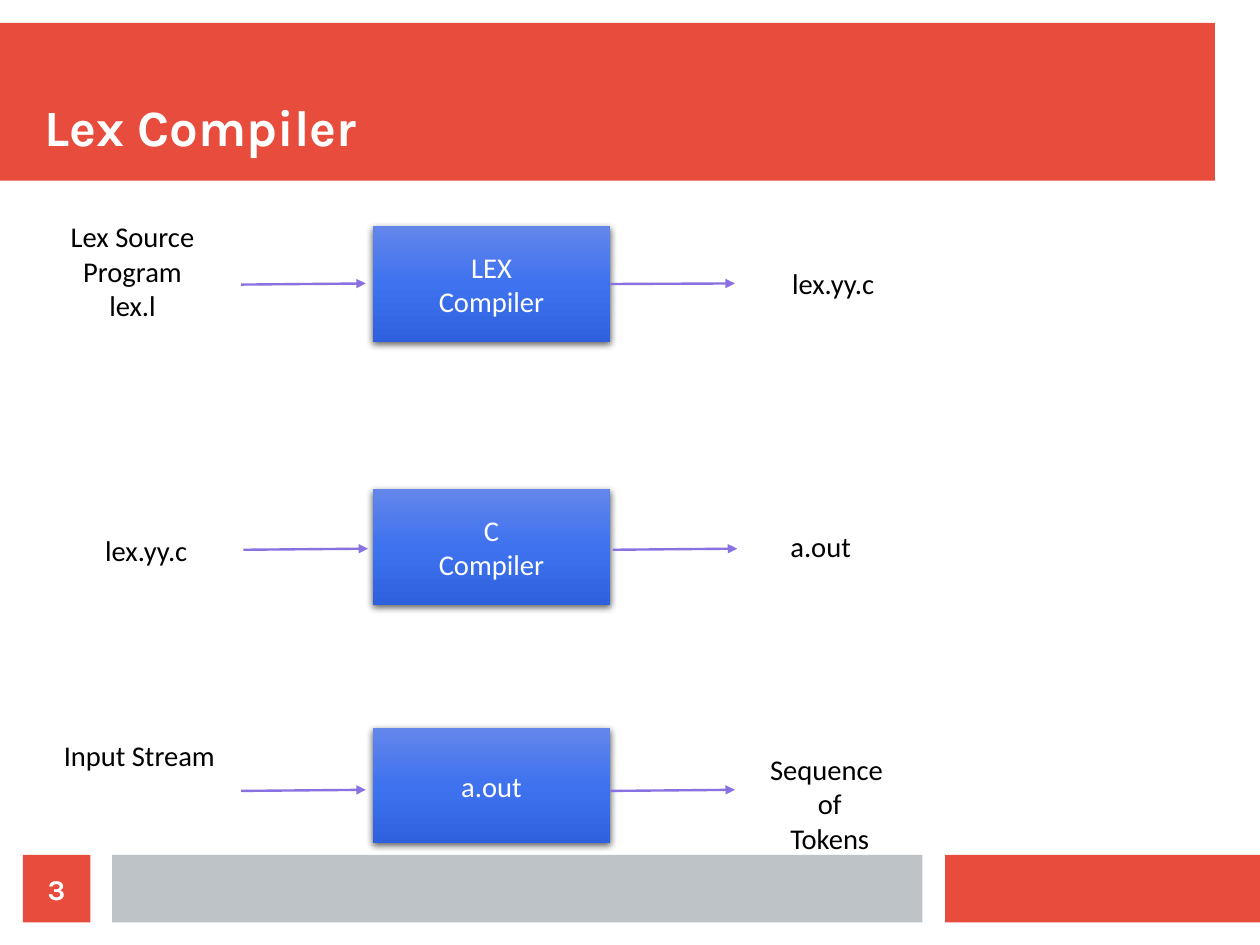
"""Build the Lex Compiler slide: three source-to-output compilation steps."""
import copy

import lxml.etree
import pptx
import pptx.dml.color
import pptx.enum.shapes
import pptx.enum.text
import pptx.oxml
import pptx.oxml.ns
import pptx.util

Inches = pptx.util.Inches
RGBColor = pptx.dml.color.RGBColor
PP_ALIGN = pptx.enum.text.PP_ALIGN
MSO_ANCHOR = pptx.enum.text.MSO_ANCHOR
RECTANGLE = pptx.enum.shapes.MSO_SHAPE.RECTANGLE
STRAIGHT = pptx.enum.shapes.MSO_CONNECTOR.STRAIGHT
qn = pptx.oxml.ns.qn

RED = RGBColor(0xE7, 0x4C, 0x3C)
GRAY = RGBColor(0xBD, 0xC3, 0xC7)
WHITE = RGBColor(0xFF, 0xFF, 0xFF)
BLACK = RGBColor(0x00, 0x00, 0x00)
PURPLE = RGBColor(0x89, 0x71, 0xE1)
BLUE_STOPS = [
    (0, RGBColor(0x63, 0x86, 0xEB)),
    (0.5, RGBColor(0x3F, 0x72, 0xEF)),
    (1, RGBColor(0x2F, 0x61, 0xDE)),
]
SHADOW = (
    '<a:effectLst xmlns:a="http://schemas.openxmlformats.org/drawingml/2006/main">'
    '<a:outerShdw blurRad="57150" dist="19050" dir="5400000" algn="ctr" rotWithShape="0">'
    '<a:srgbClr val="000000"><a:alpha val="63000"/></a:srgbClr>'
    '</a:outerShdw></a:effectLst>'
)


def write(sp, text, size=18, font="Calibri", color=BLACK, bold=False,
          align=PP_ALIGN.CENTER, anchor=MSO_ANCHOR.MIDDLE, margin=None):
    tf = sp.text_frame
    tf.word_wrap = True
    tf.vertical_anchor = anchor
    if margin is not None:
        tf.margin_left = tf.margin_right = tf.margin_top = tf.margin_bottom = margin
    for i, line in enumerate(text.split("\n")):
        p = tf.paragraphs[0] if i == 0 else tf.add_paragraph()
        p.alignment = align
        r = p.add_run()
        r.text = line
        r.font.size = pptx.util.Pt(size)
        r.font.name = font
        r.font.bold = bold
        r.font.color.rgb = color


def add_arrow(shapes, x1, y1, x2, y2):
    line = shapes.add_connector(STRAIGHT, Inches(x1), Inches(y1), Inches(x2), Inches(y2))
    line.line.color.rgb = PURPLE
    line.line.width = pptx.util.Pt(1.5)
    lxml.etree.SubElement(line.line._get_or_add_ln(), qn("a:tailEnd"), type="triangle")
    lxml.etree.SubElement(line._element.spPr, qn("a:effectLst"))
    return line


prs = pptx.Presentation()
prs.slide_width = Inches(28 / 2.54)
prs.slide_height = Inches(21 / 2.54)
shapes = prs.slides.add_slide(prs.slide_layouts[6]).shapes

bars = [
    (0, 0.2, 10.63, 1.38, RED, ""),
    (8.27, 7.48, 2.76, 0.59, RED, ""),
    (0.98, 7.48, 7.09, 0.59, GRAY, ""),
    (0.2, 7.48, 0.59, 0.59, RED, "3"),
]
for x, y, w, h, color, text in bars:
    sp = shapes.add_shape(RECTANGLE, Inches(x), Inches(y), Inches(w), Inches(h))
    sp.shadow.inherit = False
    sp.fill.solid()
    sp.fill.fore_color.rgb = color
    sp.line.fill.background()
    if text:
        write(sp, text, font="Karla", color=WHITE, bold=True, margin=0)

title = shapes.add_textbox(Inches(0.39), Inches(0.39), Inches(10.24), Inches(0.98))
write(title, "Lex Compiler", size=32, font="Karla", color=WHITE, bold=True,
      align=PP_ALIGN.LEFT, anchor=MSO_ANCHOR.BOTTOM, margin=0)

BOX_X, BOX_W, BOX_H = 3.26, 2.08, 1.01
ARROW_W = 1.09
steps = [
    ("LEX\nCompiler", 1.98, 2.11, 2.49),
    ("C\nCompiler", 4.28, 2.13, 4.81),
    ("a.out", 6.37, 2.11, 6.92),
]
for text, top, arrow_x, arrow_y in steps:
    box = shapes.add_shape(RECTANGLE, Inches(BOX_X), Inches(top), Inches(BOX_W), Inches(BOX_H))
    box.line.fill.background()
    box.fill.gradient()
    box.fill.gradient_angle = 270
    first = box.fill.gradient_stops[0]._gs
    first.addnext(copy.deepcopy(first))
    for stop, (position, color) in zip(box.fill.gradient_stops, BLUE_STOPS):
        stop.position = position
        stop.color.rgb = color
    box._element.spPr.append(pptx.oxml.parse_xml(SHADOW))
    write(box, text, color=WHITE)

    add_arrow(shapes, arrow_x, arrow_y, arrow_x + ARROW_W, arrow_y - 0.01)
    out_x = arrow_x + 3.23
    arrow = add_arrow(shapes, out_x, arrow_y, out_x + ARROW_W, arrow_y - 0.01)
    if abs(arrow_y - top - BOX_H / 2) < 0.02:
        arrow.begin_connect(box, 3)

labels = [
    ("Lex Source Program\nlex.l", 0.33, 1.87, 1.01),
    ("lex.yy.c", 6.46, 2.28, 0.4),
    ("lex.yy.c", 0.45, 4.61, 0.4),
    ("a.out", 6.35, 4.58, 0.4),
    ("Input Stream", 0.39, 6.41, 0.71),
    ("Sequence \nof\nTokens", 6.43, 6.53, 1.01),
]
for text, x, y, h in labels:
    sp = shapes.add_textbox(Inches(x), Inches(y), Inches(1.66), Inches(h))
    sp.text_frame.auto_size = pptx.enum.text.MSO_AUTO_SIZE.SHAPE_TO_FIT_TEXT
    write(sp, text, anchor=MSO_ANCHOR.TOP)

prs.save("out.pptx")
